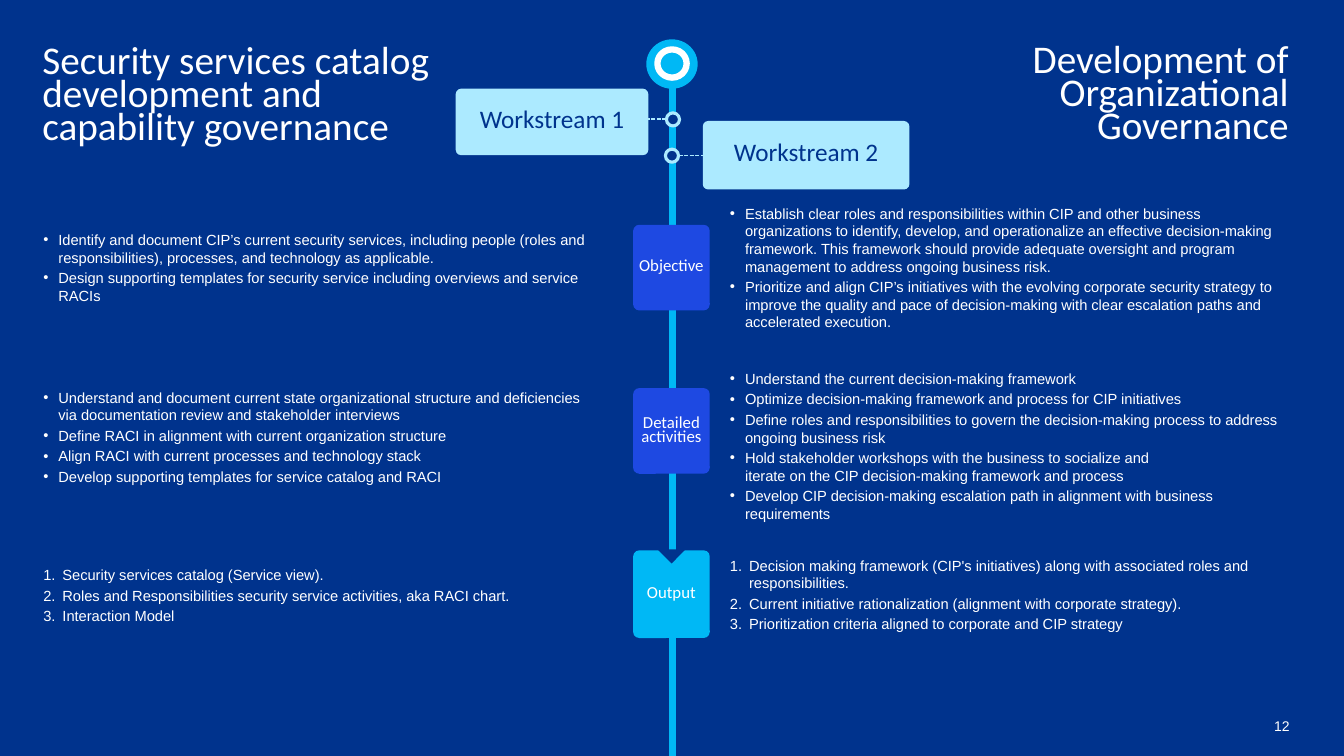
"""Build the two-workstream roadmap slide along a central spine."""
from dataclasses import dataclass

from lxml import etree
from pptx import Presentation
from pptx.dml.color import RGBColor
from pptx.enum.dml import MSO_LINE
from pptx.enum.shapes import MSO_CONNECTOR, MSO_SHAPE
from pptx.enum.text import MSO_ANCHOR, PP_ALIGN
from pptx.oxml.ns import qn
from pptx.util import Emu, Pt

PX = 9144
ROUNDED = MSO_SHAPE.ROUNDED_RECTANGLE
OVAL = MSO_SHAPE.OVAL
TRIANGLE = MSO_SHAPE.ISOSCELES_TRIANGLE
STRAIGHT = MSO_CONNECTOR.STRAIGHT
DASH = MSO_LINE.SQUARE_DOT
TOP, MIDDLE, BOTTOM = MSO_ANCHOR.TOP, MSO_ANCHOR.MIDDLE, MSO_ANCHOR.BOTTOM
LEFT, CENTER, RIGHT = PP_ALIGN.LEFT, PP_ALIGN.CENTER, PP_ALIGN.RIGHT


@dataclass(frozen=True)
class Theme:
    """Colours, fonts and type sizes of the slide."""
    navy: str = "00338D"
    blue: str = "1E49E2"
    cyan: str = "00B8F5"
    pale: str = "ACEAFF"
    white: str = "FFFFFF"
    heading: str = "Calibri"
    body: str = "Arial"
    title_size: float = 28
    card_size: float = 18
    stage_size: float = 12
    list_size: float = 10.5
    number_size: float = 10
    tight: float = 0.7


THEME = Theme()
SPINE_X = 667
STAGE_X, STAGE_WIDTH = 628, 76
LIST_LEFT, LIST_RIGHT, LIST_WIDTH = 43, 724, 550

TITLES = [
    ((42, 48, 404, 153), LEFT, "Security services catalog development and capability governance"),
    ((913, 47, 365, 159), RIGHT, "Development of Organizational Governance"),
]
WORKSTREAMS = [
    ("Workstream 1", (452, 88, 191, 66), (661, 112), (661, 609)),
    ("Workstream 2", (697, 120, 205, 68), (660, 148), (673, 725)),
]
STAGES = [
    ("Objective", 223, 85, THEME.blue),
    ("Detailed activities", 385, 85, THEME.blue),
    ("Output", 546, 87, THEME.cyan),
]
LISTS = [
    (LIST_LEFT, 229, 73, False, [
        "Identify and document CIP’s current security services, including people "
        "(roles and responsibilities), processes, and technology as applicable.",
        "Design supporting templates for security service including overviews and service RACIs",
    ]),
    (LIST_LEFT, 385, 97, False, [
        "Understand and document current state organizational structure and deficiencies "
        "via documentation review and stakeholder interviews",
        "Define RACI in alignment with current organization structure",
        "Align RACI with current processes and technology stack",
        "Develop supporting templates for service catalog and RACI",
    ]),
    (LIST_LEFT, 561, 59, True, [
        "Security services catalog (Service view).",
        "Roles and Responsibilities security service activities, aka RACI chart.",
        "Interaction Model",
    ]),
    (LIST_RIGHT, 202, 127, False, [
        "Establish clear roles and responsibilities within CIP and other business "
        "organizations to identify, develop, and operationalize an effective decision-making "
        "framework. This framework should provide adequate oversight and program "
        "management to address ongoing business risk.",
        "Prioritize and align CIP’s initiatives with the evolving corporate security strategy to "
        "improve the quality and pace of decision-making with clear escalation paths and "
        "accelerated execution.",
    ]),
    (LIST_RIGHT, 366, 153, False, [
        "Understand the current decision-making framework",
        "Optimize decision-making framework and process for CIP initiatives",
        "Define roles and responsibilities to govern the decision-making process to address "
        "ongoing business risk",
        "Hold stakeholder workshops with the business to socialize and \n"
        "iterate on the CIP decision-making framework and process",
        "Develop CIP decision-making escalation path in alignment with business requirements",
    ]),
    (LIST_RIGHT, 552, 76, True, [
        "Decision making framework (CIP's initiatives) along with associated roles and "
        "responsibilities.",
        "Current initiative rationalization (alignment with corporate strategy).",
        "Prioritization criteria aligned to corporate and CIP strategy",
    ]),
]


def color(code):
    """Turn a hex code into a colour."""
    return RGBColor.from_string(code)


def px(*lengths):
    """Turn px lengths into EMU."""
    return [Emu(length * PX) for length in lengths]


def set_frame(frame, anchor, side=0, vertical=0):
    """Set wrapping, anchor and insets of a text frame."""
    frame.word_wrap = True
    frame.vertical_anchor = anchor
    frame.margin_left, frame.margin_right = px(side, side)
    frame.margin_top, frame.margin_bottom = px(vertical, vertical)


def write(para, text, font, size, ink, align=LEFT, spacing=None, after=0):
    """Fill a paragraph, with a line break at each newline."""
    para.alignment = align
    para.space_after = Pt(after)
    if spacing:
        para.line_spacing = spacing
    for index, part in enumerate(text.split("\n")):
        if index:
            para.add_line_break()
        span = para.add_run()
        span.text = part
        span.font.name = font
        span.font.size = Pt(size)
        span.font.color.rgb = color(ink)


def add_text(page, bounds, anchor, text, *style):
    """Add a text box holding one paragraph."""
    box = page.shapes.add_textbox(*px(*bounds))
    set_frame(box.text_frame, anchor)
    write(box.text_frame.paragraphs[0], text, *style)


def add_list(page, bounds, numbered, items):
    """Add a bulleted or numbered list."""
    frame = page.shapes.add_textbox(*px(*bounds)).text_frame
    set_frame(frame, MIDDLE)
    indent = (19 if numbered else 15) * PX
    for index, item in enumerate(items):
        para = frame.add_paragraph() if index else frame.paragraphs[0]
        properties = para._p.get_or_add_pPr()
        properties.set("marL", str(indent))
        properties.set("indent", str(-indent))
        if numbered:
            etree.SubElement(properties, qn("a:buAutoNum"), type="arabicPeriod")
        else:
            etree.SubElement(properties, qn("a:buFont"), typeface=THEME.body)
            etree.SubElement(properties, qn("a:buChar"), char="•")
        write(para, item, THEME.body, THEME.list_size, THEME.white, after=2)


def add_shape(page, kind, bounds, fill, outline=None, weight=0):
    """Add a flat preset shape."""
    shape = page.shapes.add_shape(kind, *px(*bounds))
    shape.shadow.inherit = False
    shape.fill.solid()
    shape.fill.fore_color.rgb = color(fill)
    if outline:
        shape.line.color.rgb = color(outline)
        shape.line.width = Pt(weight)
    else:
        shape.line.fill.background()
    return shape


def add_card(page, bounds, fill, text, size, ink, side=0):
    """Add a rounded card with a centred label."""
    card = add_shape(page, ROUNDED, bounds, fill)
    card.adjustments[0] = 0.08
    set_frame(card.text_frame, MIDDLE, side, 6)
    write(card.text_frame.paragraphs[0], text, THEME.heading, size, ink, CENTER, THEME.tight, 1)


def add_line(page, start, end, ink, weight, dash=None):
    """Add a straight line without a shadow."""
    line = page.shapes.add_connector(STRAIGHT, *px(*start, *end))
    line.line.color.rgb = color(ink)
    line.line.width = Pt(weight)
    if dash:
        line.line.dash_style = dash
    etree.SubElement(line._element.spPr, qn("a:effectLst"))


def main():
    """Build and save the slide."""
    deck = Presentation()
    deck.slide_width, deck.slide_height = px(1333, 750)
    page = deck.slides.add_slide(deck.slide_layouts[6])
    page.background.fill.solid()
    page.background.fill.fore_color.rgb = color(THEME.navy)

    for bounds, align, text in TITLES:
        add_text(page, bounds, TOP, text, THEME.heading, THEME.title_size, THEME.white,
                 align, THEME.tight)
    add_text(page, (1226, 713, 53, 16), BOTTOM, "12", THEME.body, THEME.number_size,
             THEME.white, RIGHT)

    add_line(page, (SPINE_X, 77), (SPINE_X, 750), THEME.cyan, 4.5)
    add_shape(page, OVAL, (641, 39, 51, 49), THEME.cyan)
    add_shape(page, OVAL, (652, 49, 29, 28), THEME.cyan, THEME.white, 4.5)
    for text, bounds, (left, top), (start, end) in WORKSTREAMS:
        add_shape(page, OVAL, (left, top, 13, 13), THEME.navy, THEME.pale, 2.25)
        add_line(page, (start, top + 6), (end, top + 6), THEME.pale, 1, DASH)
        add_card(page, bounds, THEME.pale, text, THEME.card_size, THEME.navy, 6)

    for text, top, height, fill in STAGES:
        add_card(page, (STAGE_X, top, STAGE_WIDTH, height), fill, text,
                 THEME.stage_size, THEME.white)
    add_shape(page, TRIANGLE, (652, 545, 28, 14), THEME.navy).rotation = 180

    for left, top, height, numbered, items in LISTS:
        add_list(page, (left, top, LIST_WIDTH, height), numbered, items)
    deck.save("out.pptx")


if __name__ == "__main__":
    main()
